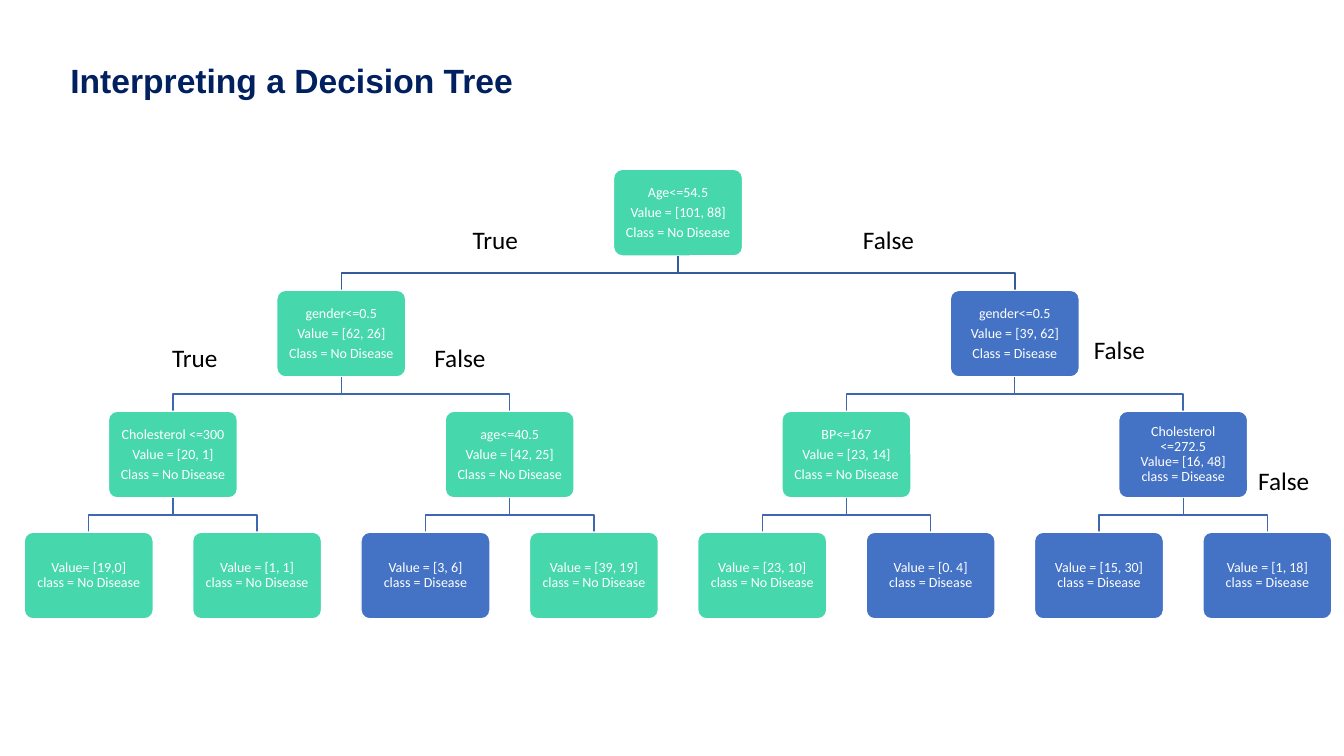
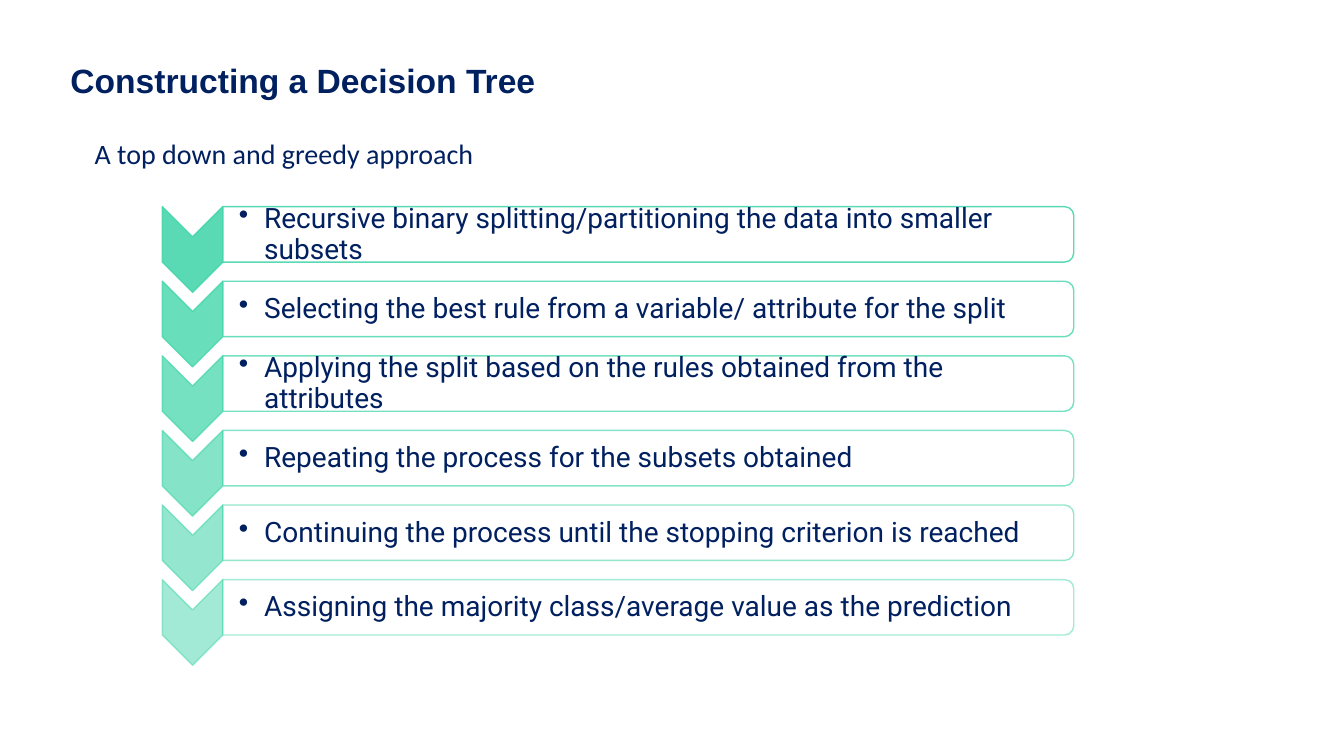
from lxml import etree
from pptx import Presentation
from pptx.dml.color import RGBColor
from pptx.enum.shapes import MSO_SHAPE
from pptx.enum.text import MSO_ANCHOR, PP_ALIGN
from pptx.oxml.ns import qn
from pptx.util import Inches, Pt

ROUNDED = MSO_SHAPE.ROUNDED_RECTANGLE
CHEVRON = MSO_SHAPE.CHEVRON
ROUND_TOP = MSO_SHAPE.ROUND_2_SAME_RECTANGLE
MIDDLE = MSO_ANCHOR.MIDDLE
CENTER = PP_ALIGN.CENTER

# Colours
NAVY = RGBColor(0x00, 0x20, 0x60)
GREEN = RGBColor(0x47, 0xD7, 0xAC)
BLUE = RGBColor(0x44, 0x72, 0xC4)
ROOT_EDGE = RGBColor(0x36, 0x5B, 0x9D)
EDGE = RGBColor(0x3E, 0x67, 0xB2)
WHITE = RGBColor(0xFF, 0xFF, 0xFF)
BLACK = RGBColor(0x00, 0x00, 0x00)

# Text formats
TITLE_FONT = {"name": "Arial", "size": Pt(24), "bold": True}
SUBTITLE_FONT = {"name": "Calibri", "size": Pt(20)}
LABEL_FONT = {"name": "Calibri", "size": Pt(18)}
NODE_FONT = {"name": "Calibri", "size": Pt(10)}
STEP_FONT = {"name": "Roboto", "size": Pt(20)}
NODE_FRAME = {"word_wrap": True, "vertical_anchor": MIDDLE,
              "margin_left": Inches(0.06), "margin_right": Inches(0.06),
              "margin_top": Inches(0.06), "margin_bottom": Inches(0.06)}
STEP_FRAME = {"word_wrap": True, "vertical_anchor": MIDDLE,
              "margin_left": Inches(0.16), "margin_right": Inches(0.01),
              "margin_top": Inches(0.01), "margin_bottom": Inches(0.01)}

# Tree geometry, in inches
NODE_WIDTH, NODE_HEIGHT = 1.28, 0.86
FIRST_CENTER, LEAF_PITCH = 0.88, 1.67
TREE_TOP, LEVEL_PITCH = 1.68, 1.2

# Tree content by level: lines, fill
TREE = [
    [(["Age<=54.5", "Value = [101, 88]", "Class = No Disease"], GREEN)],
    [(["gender<=0.5", "Value = [62, 26]", "Class = No Disease"], GREEN),
     (["gender<=0.5", "Value = [39, 62]", "Class = Disease"], BLUE)],
    [(["Cholesterol <=300", "Value = [20, 1]", "Class = No Disease"], GREEN),
     (["age<=40.5", "Value = [42, 25]", "Class = No Disease"], GREEN),
     (["BP<=167", "Value = [23, 14]", "Class = No Disease"], GREEN),
     (["Cholesterol <=272.5", "Value= [16, 48]", "class = Disease"], BLUE)],
    [(["Value= [19,0]", "class = No Disease"], GREEN),
     (["Value = [1, 1]", "class = No Disease"], GREEN),
     (["Value = [3, 6]", "class = Disease"], BLUE),
     (["Value = [39, 19]", "class = No Disease"], GREEN),
     (["Value = [23, 10]", "class = No Disease"], GREEN),
     (["Value = [0. 4]", "class = Disease"], BLUE),
     (["Value = [15, 30]", "class = Disease"], BLUE),
     (["Value = [1, 18]", "class = Disease"], BLUE)],
]
BRANCH_LABELS = [("True", 4.59, 2.18), ("False", 8.46, 2.18),
                 ("True", 1.61, 3.35), ("False", 4.21, 3.35),
                 ("False", 10.75, 3.27), ("False", 12.38, 4.57)]

# Step list geometry, in inches
STEP_TOP, STEP_PITCH = 2.05, 0.74
STEPS = [
    "Recursive binary splitting/partitioning the data into smaller subsets",
    "Selecting the best rule from a variable/ attribute for the split",
    "Applying the split based on the rules obtained from the attributes",
    "Repeating the process for the subsets obtained",
    "Continuing the process until the stopping criterion is reached",
    "Assigning the majority class/average value as the prediction",
]


def set_attributes(target, values):
    for name, value in values.items():
        setattr(target, name, value)


def write_text(shape, lines, font, color, frame, paragraph_format):
    """Put one paragraph per line into the shape."""
    text_frame = shape.text_frame
    set_attributes(text_frame, frame)
    for index, line in enumerate(lines):
        paragraph = text_frame.paragraphs[0] if index == 0 else text_frame.add_paragraph()
        set_attributes(paragraph, paragraph_format)
        run = paragraph.add_run()
        run.text = line
        set_attributes(run.font, font)
        run.font.color.rgb = color


def add_text(slide, text, box, font, color, frame, paragraph_format):
    shape = slide.shapes.add_textbox(*map(Inches, box))
    write_text(shape, [text], font, color, frame, paragraph_format)
    return shape


def add_title(slide, text):
    add_text(slide, text, (0.6, 0.59, 5.97, 0.53), TITLE_FONT, NAVY,
             {"word_wrap": True}, {"line_spacing": 0.9})


def add_filled_shape(slide, kind, box, fill, line):
    shape = slide.shapes.add_shape(kind, *map(Inches, box))
    shape.shadow.inherit = False
    shape.fill.solid()
    shape.fill.fore_color.rgb = fill
    shape.line.color.rgb = line
    shape.line.width = Pt(1)
    return shape


# Decision tree
def node_center(level, index):
    span = 2 ** (len(TREE) - 1 - level)
    return FIRST_CENTER + LEAF_PITCH * (span * (index + 0.5) - 0.5)


def node_top(level):
    return TREE_TOP + LEVEL_PITCH * level


def add_node(slide, level, index, lines, fill):
    box = (node_center(level, index) - NODE_WIDTH / 2, node_top(level),
           NODE_WIDTH, NODE_HEIGHT)
    shape = add_filled_shape(slide, ROUNDED, box, fill, WHITE)
    shape.adjustments[0] = 0.1
    compact = lines[-1].startswith("class")
    write_text(shape, lines, NODE_FONT, WHITE, NODE_FRAME,
               {"alignment": CENTER, "line_spacing": 0.9,
                "space_after": Pt(0 if compact else 3.5)})


def add_edge(slide, level, index):
    """Draw the bent line from the parent down to a node."""
    start_x, end_x = node_center(level - 1, index // 2), node_center(level, index)
    start_y, end_y = node_top(level - 1) + NODE_HEIGHT, node_top(level)
    middle_y = (start_y + end_y) / 2
    builder = slide.shapes.build_freeform(Inches(start_x), Inches(start_y))
    corners = [(start_x, middle_y), (end_x, middle_y), (end_x, end_y)]
    builder.add_line_segments([(Inches(x), Inches(y)) for x, y in corners], close=False)
    edge = builder.convert_to_shape()
    edge.shadow.inherit = False
    edge.fill.background()
    edge.line.color.rgb = ROOT_EDGE if level == 1 else EDGE
    edge.line.width = Pt(1)


def build_tree_slide(slide):
    add_title(slide, "Interpreting a Decision Tree")
    for level, nodes in enumerate(TREE):
        for index, (lines, fill) in enumerate(nodes):
            if level:
                add_edge(slide, level, index)
            add_node(slide, level, index, lines, fill)
    for text, left, top in BRANCH_LABELS:
        width = 0.66 if text == "True" else 0.71
        add_text(slide, text, (left, top, width, 0.4), LABEL_FONT, BLACK,
                 {"word_wrap": False}, {})


# Step list
def set_opacity(color_format_parent, percent):
    for color in color_format_parent.iter(qn("a:srgbClr")):
        etree.SubElement(color, qn("a:alpha"), val=str(percent * 1000))


def add_turned_shape(slide, kind, seen_box, fill, fill_opacity, line_opacity):
    """Add a shape turned by 90 degrees that covers seen_box."""
    left, top, width, height = seen_box
    shift = (width - height) / 2
    shape = add_filled_shape(slide, kind, (left + shift, top - shift, height, width),
                             fill, GREEN)
    shape.rotation = 90
    properties = shape._element.spPr
    set_opacity(properties.find(qn("a:solidFill")), fill_opacity)
    set_opacity(properties.find(qn("a:ln")), line_opacity)


def add_bullet(paragraph):
    properties = paragraph._p.get_or_add_pPr()
    properties.set("marL", str(Inches(0.25)))
    properties.set("indent", str(Inches(-0.25)))
    etree.SubElement(properties, qn("a:buChar"), char="•")


def add_step(slide, index, text):
    top = STEP_TOP + STEP_PITCH * index
    opacity = 90 - 8 * index
    add_turned_shape(slide, CHEVRON, (1.61, top, 0.6, 0.85), GREEN, opacity, opacity)
    add_turned_shape(slide, ROUND_TOP, (2.21, top, 8.44, 0.55), WHITE, 90, opacity)
    label = add_text(slide, text, (2.21, top + 0.03, 8.41, 0.5), STEP_FONT, NAVY,
                     STEP_FRAME, {"line_spacing": 0.9, "space_after": Pt(3)})
    add_bullet(label.text_frame.paragraphs[0])


def build_steps_slide(slide):
    add_title(slide, "Constructing a Decision Tree")
    add_text(slide, "A top down and greedy approach", (0.84, 1.31, 4.59, 0.44),
             SUBTITLE_FONT, NAVY, {"word_wrap": True}, {})
    for index, text in enumerate(STEPS):
        add_step(slide, index, text)


def main():
    presentation = Presentation()
    presentation.slide_width = Inches(13.33)
    presentation.slide_height = Inches(7.5)
    blank = presentation.slide_layouts[6]
    for build in (build_tree_slide, build_steps_slide):
        build(presentation.slides.add_slide(blank))
    presentation.save("out.pptx")


if __name__ == "__main__":
    main()
